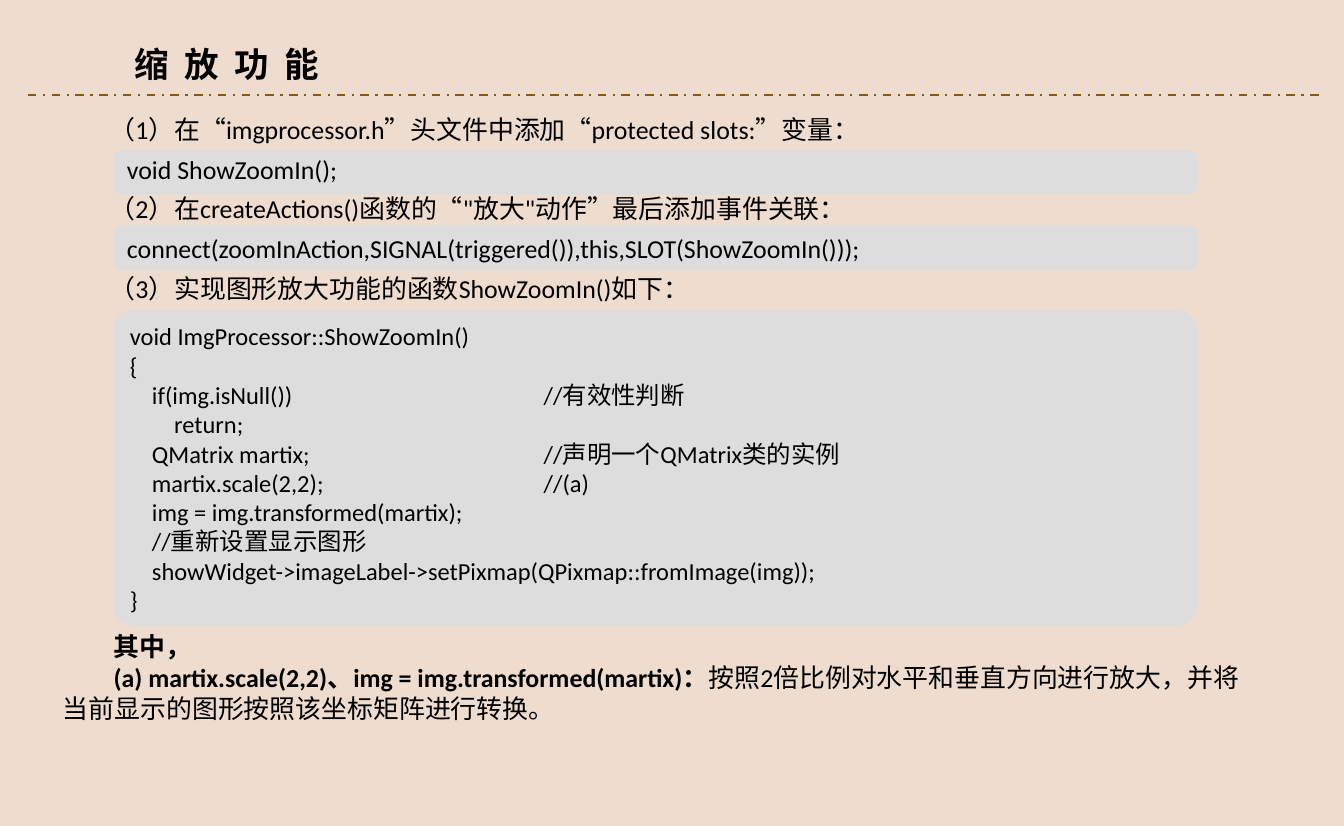
from lxml.etree import SubElement
from pptx import Presentation
from pptx.dml.color import RGBColor
from pptx.enum.dml import MSO_LINE
from pptx.enum.shapes import MSO_CONNECTOR, MSO_SHAPE
from pptx.enum.text import MSO_ANCHOR, PP_ALIGN
from pptx.oxml.ns import qn
from pptx.util import Pt

BACKGROUND, PANEL, RULE, INK = "EEDCCE", "DDDDDD", "806000", "000000"
PANEL_LEFT, PANEL_WIDTH = 79.2, 753.8
CODE_STEP = 15.4
COMMENT_TABS = "\t" * 5

# Nesting level, text and comment of each code line
CODE = [
    (0, "void ImgProcessor::ShowZoomIn()", ""),
    (0, "{", ""),
    (1, "if(img.isNull())", "//有效性判断"),
    (2, "return;", ""),
    (1, "QMatrix martix;", "//声明一个QMatrix类的实例"),
    (1, "martix.scale(2,2);", "//(a)"),
    (1, "img = img.transformed(martix);", ""),
    (1, "//重新设置显示图形", ""),
    (1, "showWidget->imageLabel->setPixmap(QPixmap::fromImage(img));", ""),
    (0, "}", ""),
]

# Steps, each followed by its code line if it has one
STEPS = [
    ("（1）在“imgprocessor.h”头文件中添加“protected slots:”变量：",
     "void ShowZoomIn();"),
    ("（2）在createActions()函数的“\"放大\"动作”最后添加事件关联：",
     "connect(zoomInAction,SIGNAL(triggered()),this,SLOT(ShowZoomIn()));"),
    ("（3）实现图形放大功能的函数ShowZoomIn()如下：", None),
]


def color(value):
    return RGBColor.from_string(value)


def add_run(paragraph, text, size, bold=False):
    run = paragraph.add_run()
    run.text = text
    run.font.color.rgb = color(INK)
    for name, value in {"name": "Calibri", "size": Pt(size), "bold": bold}.items():
        setattr(run.font, name, value)
    return run


def add_paragraph(frame, first_line=0, **formats):
    first = frame.paragraphs[0]
    paragraph = frame.add_paragraph() if first.runs else first
    for name, value in {"alignment": PP_ALIGN.LEFT, **formats}.items():
        setattr(paragraph, name, value)
    properties = paragraph._p.get_or_add_pPr()
    properties.set("marL", "0")
    properties.set("indent", str(Pt(first_line)))
    return paragraph


def add_text_box(slide, left, top, width, height, wrap=True):
    box = slide.shapes.add_textbox(Pt(left), Pt(top), Pt(width), Pt(height))
    box.text_frame.word_wrap = wrap
    return box.text_frame


def add_panel(slide, top, height, rounding=0.1667):
    shape = slide.shapes.add_shape(MSO_SHAPE.ROUNDED_RECTANGLE, Pt(PANEL_LEFT),
                                   Pt(top), Pt(PANEL_WIDTH), Pt(height))
    shape.adjustments[0] = rounding
    shape.fill.solid()
    shape.fill.fore_color.rgb = color(PANEL)
    shape.line.fill.background()
    shape.shadow.inherit = False
    return shape.text_frame


def add_rule(slide, left, right, y):
    rule = slide.shapes.add_connector(MSO_CONNECTOR.STRAIGHT,
                                      Pt(left), Pt(y), Pt(right), Pt(y))
    rule.line.color.rgb = color(RULE)
    rule.line.width = Pt(1.5)
    rule.line.dash_style = MSO_LINE.DASH_DOT
    SubElement(rule._element.spPr, qn("a:effectLst"))


def add_steps(slide):
    frame = add_text_box(slide, 69.1, 75.6, 813.6, 140.4)
    for step, code in STEPS:
        add_run(add_paragraph(frame), step, 18)
        if code:
            paragraph = add_paragraph(frame, 12.2, space_before=Pt(6), space_after=Pt(6))
            add_run(paragraph, code, 18)


def add_code(slide):
    frame = add_panel(slide, 216, 219.6, 0.064)
    frame.word_wrap = True
    frame.vertical_anchor = MSO_ANCHOR.MIDDLE
    for level, code, comment in CODE:
        text = code + COMMENT_TABS + comment if comment else code
        add_run(add_paragraph(frame, level * CODE_STEP), text, 17)


def add_explanation(slide):
    frame = add_text_box(slide, 36.7, 435.6, 833.8, 72.7)
    add_run(add_paragraph(frame, 35.3), "其中，", 18, bold=True)
    paragraph = add_paragraph(frame, 35.3)
    add_run(paragraph, "(a) martix.scale(2,2)、img = img.transformed(martix)：", 18, bold=True)
    add_run(paragraph, "按照2倍比例对水平和垂直方向进行放大，"
                       "并将当前显示的图形按照该坐标矩阵进行转换。", 18)


def main():
    presentation = Presentation()
    presentation.slide_width, presentation.slide_height = Pt(935.4), Pt(575.1)
    slide = presentation.slides.add_slide(presentation.slide_layouts[6])
    slide.background.fill.solid()
    slide.background.fill.fore_color.rgb = color(BACKGROUND)

    # Heading with letter spacing
    add_rule(slide, 19.4, 920.9, 66.2)
    title = add_text_box(slide, 86.4, 26.6, 144.7, 36, wrap=False)
    run = add_run(add_paragraph(title), "缩 放 功 能", 24, bold=True)
    run.font._element.set("spc", "270")

    # Steps over their one-line code panels
    for top in (104.4, 157):
        add_panel(slide, top, 31)
    add_steps(slide)

    # Function listing and its explanation
    add_code(slide)
    add_explanation(slide)
    presentation.save("out.pptx")


if __name__ == "__main__":
    main()
